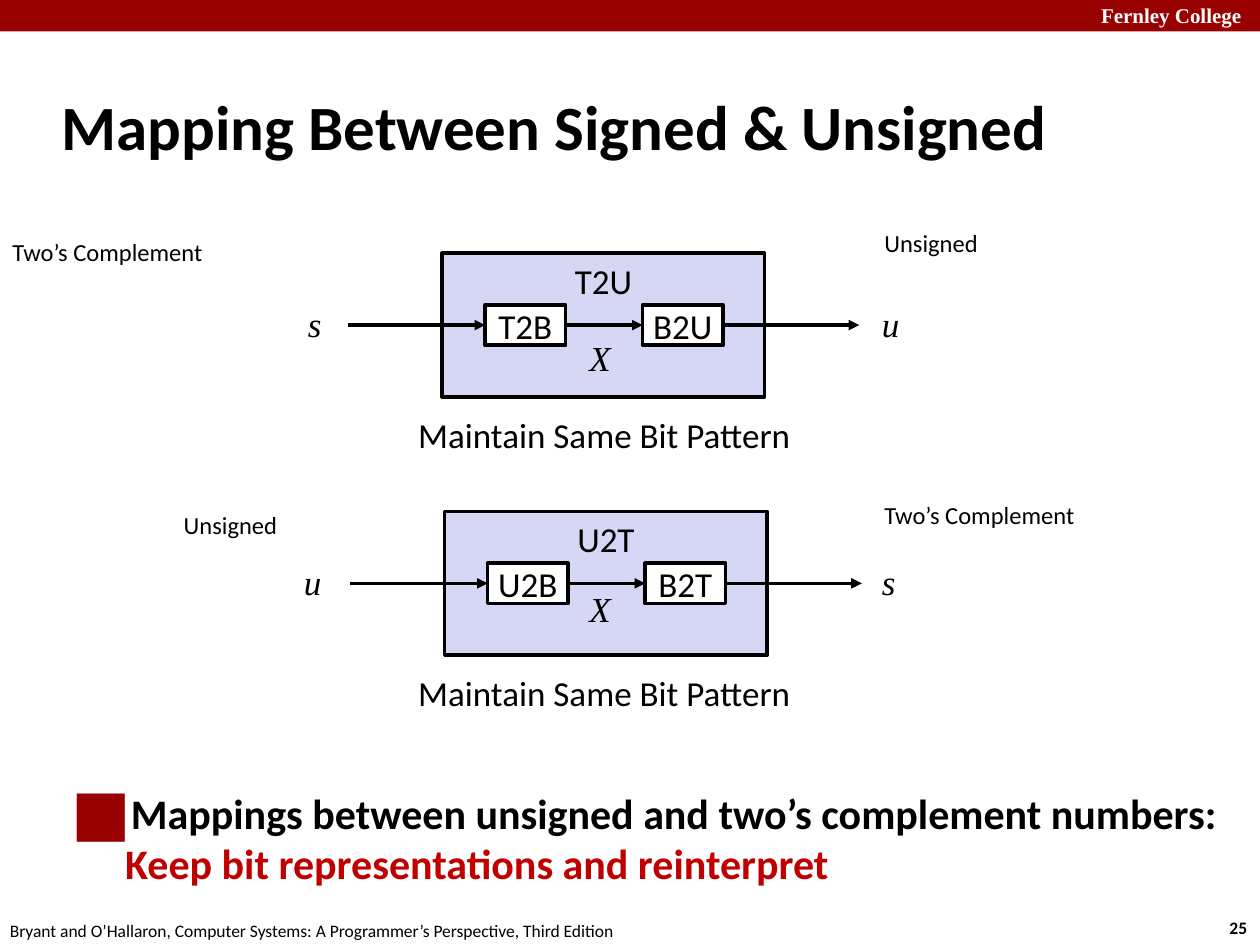
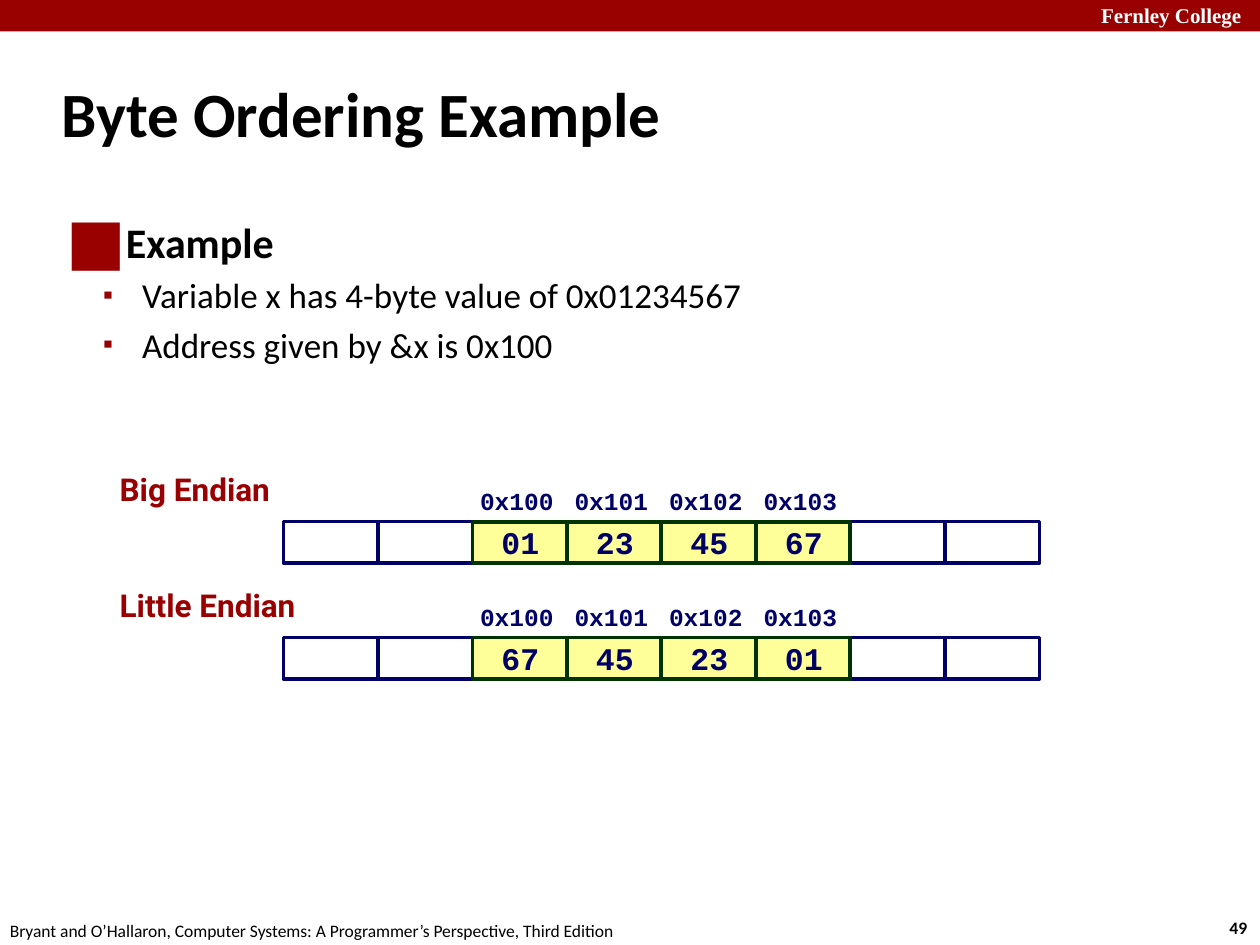
"""Build two slides on signed/unsigned mappings and byte ordering."""
from dataclasses import dataclass

from pptx import Presentation
from pptx.dml.color import RGBColor
from pptx.enum.shapes import MSO_CONNECTOR as CONN, MSO_SHAPE as SHAPE
from pptx.enum.text import MSO_ANCHOR as ANCHOR, PP_ALIGN as ALIGN
from pptx.oxml.ns import qn
from pptx.util import Pt
from lxml.etree import SubElement

EMU_PER_PX = 9144
BLACK, WHITE, NAVY = "000000", "FFFFFF", "000066"
BAND, EMPHASIS, ENDIAN_RED = "990000", "C00000", "980002"
LAVENDER, YELLOW, GREEN = "D6D6F5", "FFFF99", "003300"
SANS, SERIF, MONO, LABEL = "Calibri", "Times New Roman", "Courier New", "Roboto"
INSETS = (10, 5, 10, 5)
MONO_INSETS = (6, 6, 10, 6)
CELL_INSETS = (6, 6, 5, 6)
LABEL_INSETS = (3, 3, 7, 3)
FOOTER = "Bryant and O’Hallaron, Computer Systems: A Programmer’s Perspective, Third Edition"


@dataclass(frozen=True)
class Mapping:
    """One conversion diagram, placed by its outer box."""
    x: int
    y: int
    name: str
    encoder: str
    decoder: str
    source: str
    source_at: tuple[int, int, int]
    source_symbol: str
    target: str
    target_at: tuple[int, int, int]
    target_symbol: str
    bits_top: int


@dataclass(frozen=True)
class ByteRow:
    """Bytes in memory under one byte order."""
    label: str
    y: int
    values: tuple[str, ...]


@dataclass(frozen=True)
class Bullet:
    """Mark, size in percent, indents and spacing of a list level."""
    char: str
    percent: int
    left: int
    hanging: int
    before: float = 0


MAPPINGS = (
    Mapping(351, 201, "T2U", "T2B", "B2U", "Two’s Complement", (0, 183, 287), "s",
            "Unsigned", (692, 176, 151), "u", 262),
    Mapping(353, 406, "U2T", "U2B", "B2T", "Unsigned", (136, 400, 151), "u",
            "Two’s Complement", (692, 392, 287), "s", 461),
)
BYTE_ROWS = (
    ByteRow("Big Endian", 414, ("01", "23", "45", "67")),
    ByteRow("Little Endian", 506, ("67", "45", "23", "01")),
)
ADDRESSES = ("0x100", "0x101", "0x102", "0x103")


def px(n: float) -> int:
    """Turn px into EMU."""
    return int(n * EMU_PER_PX)


def rgb(color: str) -> RGBColor:
    """Turn a hex string into a colour."""
    return RGBColor.from_string(color)


def add_run(p, text: str, *, size: float = 20, font: str = SANS, color: str = BLACK,
            bold: bool = False, italic: bool = False) -> None:
    """Append formatted text to a paragraph."""
    r = p.add_run()
    r.text = text
    r.font.size, r.font.name = Pt(size), font
    r.font.bold, r.font.italic = bold, italic
    r.font.color.rgb = rgb(color)


def set_frame(sp, insets=INSETS, anchor=ANCHOR.TOP, wrap: bool = True):
    """Set up the text frame of a shape and return it."""
    tf = sp.text_frame
    tf.word_wrap, tf.vertical_anchor = wrap, anchor
    tf.margin_left, tf.margin_top, tf.margin_right, tf.margin_bottom = map(px, insets)
    return tf


def add_text(slide, x: int, y: int, w: int, h: int, text: str = "", *, insets=INSETS,
             anchor=ANCHOR.TOP, align=ALIGN.LEFT, spacing: float = 1, **fmt):
    """Add a text box and return its text frame."""
    tf = set_frame(slide.shapes.add_textbox(px(x), px(y), px(w), px(h)), insets, anchor)
    p = tf.paragraphs[0]
    p.alignment, p.line_spacing = align, spacing
    if text:
        add_run(p, text, **fmt)
    return tf


def add_rect(slide, x: int, y: int, w: int, h: int, text: str = "", *, fill: str = WHITE,
             line: str = "", weight: float = 2, insets=INSETS, anchor=ANCHOR.MIDDLE, **fmt):
    """Add a rectangle with optional outline and centred text."""
    sp = slide.shapes.add_shape(SHAPE.RECTANGLE, px(x), px(y), px(w), px(h))
    sp.shadow.inherit = False
    sp.fill.solid()
    sp.fill.fore_color.rgb = rgb(fill)
    if line:
        sp.line.color.rgb, sp.line.width = rgb(line), Pt(weight)
    else:
        sp.line.fill.background()
    if text:
        p = set_frame(sp, insets, anchor, wrap=False).paragraphs[0]
        p.alignment = ALIGN.CENTER
        add_run(p, text, **fmt)
    return sp


def add_arrow(slide, x1: int, x2: int, y: int, begin=None, end=None) -> None:
    """Add a horizontal arrow, joined to the given rectangles."""
    c = slide.shapes.add_connector(CONN.STRAIGHT, px(x1), px(y), px(x2), px(y))
    if begin is not None:
        c.begin_connect(begin, 3)
    if end is not None:
        c.end_connect(end, 1)
    c.line.color.rgb, c.line.width = rgb(BLACK), Pt(2)
    SubElement(c.line._get_or_add_ln(), qn("a:tailEnd"), type="triangle")
    SubElement(c._element.spPr, qn("a:effectLst"))


def set_bullet(p, bullet: Bullet) -> None:
    """Give a paragraph a coloured bullet and a hanging indent."""
    p.space_before = Pt(bullet.before)
    pPr = p._p.get_or_add_pPr()
    pPr.set("marL", str(px(bullet.left)))
    pPr.set("indent", str(-px(bullet.hanging)))
    SubElement(SubElement(pPr, qn("a:buClr")), qn("a:srgbClr"), val=BAND)
    SubElement(pPr, qn("a:buSzPct"), val=str(bullet.percent * 1000))
    SubElement(pPr, qn("a:buFont"), typeface=SANS)
    SubElement(pPr, qn("a:buChar"), char=bullet.char)


def add_slide(prs, title: str, title_top: int, number: int):
    """Add a slide with band, title and footer."""
    slide = prs.slides.add_slide(prs.slide_layouts[6])
    add_rect(slide, 0, 0, 1000, 25, fill=BAND)
    add_text(slide, 864, -3, 143, 30, "Fernley College", size=12, font=SERIF,
             color=WHITE, bold=True)
    add_text(slide, 966, 723, 37, 27, str(number), size=10, bold=True)
    add_text(slide, -2, 725, 508, 27, FOOTER, size=10)
    add_text(slide, 39, title_top, 830, 83, title, anchor=ANCHOR.MIDDLE, size=36, bold=True)
    return slide


def draw_mapping(slide, m: Mapping) -> None:
    """Draw a conversion box with its inner steps, arrows and labels."""
    add_rect(slide, m.x, m.y, 256, 114, m.name, fill=LAVENDER, line=BLACK, anchor=ANCHOR.TOP)
    encoder, decoder = (
        add_rect(slide, m.x + dx, m.y + 41, 64, 32, text, line=BLACK)
        for dx, text in ((34, m.encoder), (159, m.decoder)))
    mid = m.y + 57
    add_arrow(slide, m.x - 75, m.x + 34, mid, end=encoder)
    add_arrow(slide, m.x + 98, m.x + 159, mid, begin=encoder, end=decoder)
    add_arrow(slide, m.x + 223, m.x + 331, mid, begin=decoder)
    for text, (x, y, w) in ((m.source, m.source_at), (m.target, m.target_at)):
        add_text(slide, x, y, w, 50, text, size=14)
    add_text(slide, 322, m.y + 122, 319, 43, "Maintain Same Bit Pattern")
    symbols = ((m.source_symbol, 231, m.y + 34, 34, ALIGN.RIGHT),
               (m.target_symbol, 690, m.y + 34, 34, ALIGN.LEFT),
               ("X", 458, m.bits_top, 37, ALIGN.LEFT))
    for text, x, y, w, align in symbols:
        add_text(slide, x, y, w, 43, text, align=align, font=SERIF, italic=True)


def draw_byte_row(slide, row: ByteRow) -> None:
    """Draw a row of memory cells with addresses above the filled ones."""
    left, w, h, first = 225, 75, 33, 2
    add_text(slide, 92, row.y - 42, 196, 36, row.label, insets=LABEL_INSETS, spacing=0.95,
             size=18, font=LABEL, color=ENDIAN_RED, bold=True)
    for i in (0, 1, 6, 7):
        add_rect(slide, left + i * w, row.y, w, h, line=NAVY)
    for i, (address, value) in enumerate(zip(ADDRESSES, row.values), first):
        x = left + i * w
        add_text(slide, x, row.y - h, w, h, address, insets=MONO_INSETS,
                 anchor=ANCHOR.MIDDLE, size=14, font=MONO, color=NAVY, bold=True)
        add_rect(slide, x, row.y, w, h, value, fill=YELLOW, line=GREEN, weight=2.25,
                 insets=CELL_INSETS, size=18, font=MONO, color=NAVY, bold=True)


def build_mapping_slide(prs) -> None:
    """Build the slide on mapping between signed and unsigned."""
    slide = add_slide(prs, "Mapping Between Signed & Unsigned", 58, 25)
    for m in MAPPINGS:
        draw_mapping(slide, m)
    p = add_text(slide, 32, 620, 947, 97).paragraphs[0]
    set_bullet(p, Bullet("■", 150, 50, 35, 4.8))
    add_run(p, "Mappings between unsigned and two’s complement numbers:", size=24, bold=True)
    p.add_line_break()
    add_run(p, " Keep bit representations and reinterpret", size=24, color=EMPHASIS, bold=True)


def build_byte_order_slide(prs) -> None:
    """Build the slide on byte ordering."""
    slide = add_slide(prs, "Byte Ordering Example", 48, 49)
    tf = add_text(slide, 43, 167, 864, 526)
    p = tf.paragraphs[0]
    set_bullet(p, Bullet("■", 150, 38, 38))
    add_run(p, "Example", size=24, bold=True)
    for text in ("Variable x has 4-byte value of 0x01234567", "Address given by &x is 0x100"):
        p = tf.add_paragraph()
        p.level = 1
        set_bullet(p, Bullet("▪", 80, 60, 31, 4))
        add_run(p, text)
    for row in BYTE_ROWS:
        draw_byte_row(slide, row)


def main() -> None:
    """Build and save the presentation."""
    prs = Presentation()
    prs.slide_width, prs.slide_height = px(1000), px(750)
    build_mapping_slide(prs)
    build_byte_order_slide(prs)
    prs.save("out.pptx")


if __name__ == "__main__":
    main()
